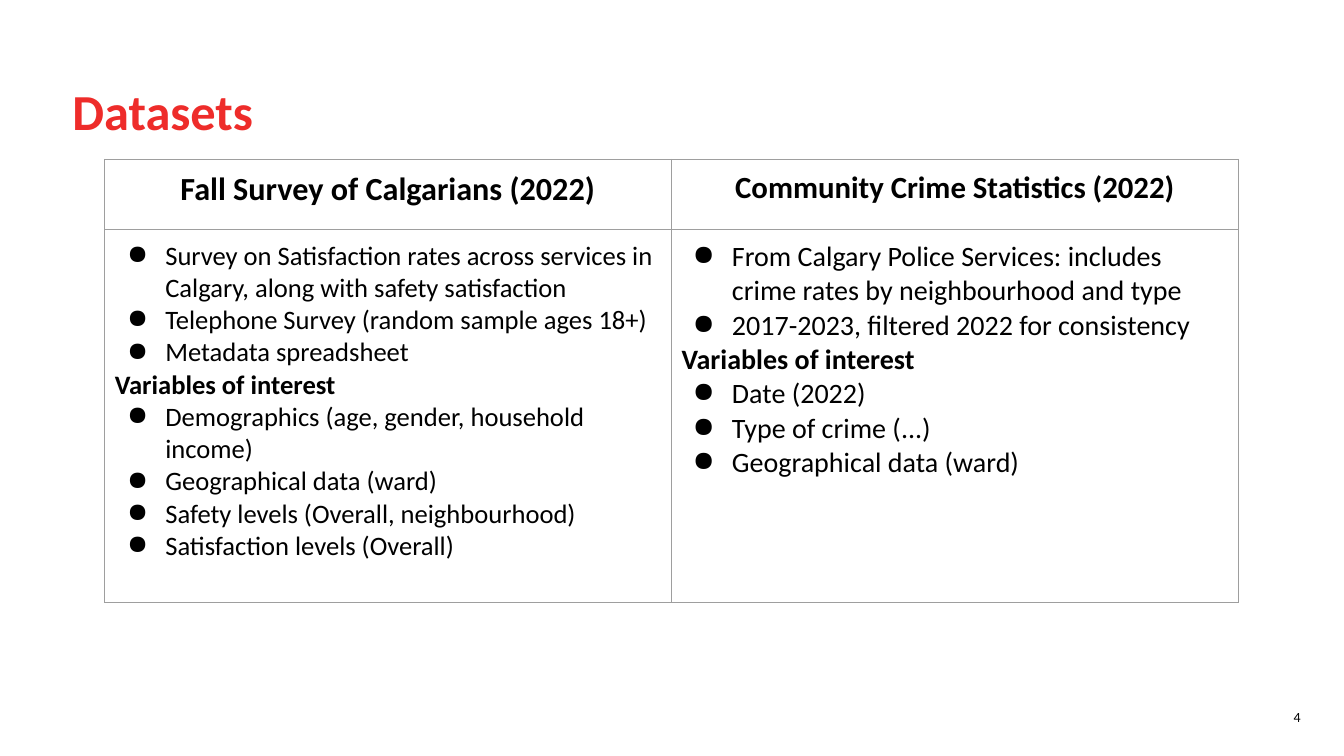
from lxml import etree
from pptx import Presentation
from pptx.dml.color import RGBColor
from pptx.enum.text import MSO_ANCHOR, PP_ALIGN
from pptx.oxml.ns import qn
from pptx.util import Inches, Pt

FONT = "Calibri"
BLACK, RED, GREY = "000000", "EE2C2A", "9E9E9E"
INTEREST = "Variables of interest"

# Each column: heading, heading size, body size, hanging indent, body lines
DATASETS = [
    ("Fall Survey of Calgarians (2022)", 23, 19, 0.38, [
        "Survey on Satisfaction rates across services in Calgary, "
        "along with safety satisfaction",
        "Telephone Survey (random sample ages 18+)",
        "Metadata spreadsheet",
        INTEREST,
        "Demographics (age, gender, household income)",
        "Geographical data (ward)",
        "Safety levels (Overall, neighbourhood)",
        "Satisfaction levels (Overall)",
    ]),
    ("Community Crime Statistics (2022)", 22, 20, 0.39, [
        "From Calgary Police Services: includes crime rates by "
        "neighbourhood and type",
        "2017-2023, filtered 2022 for consistency",
        INTEREST,
        "Date (2022)",
        "Type of crime (...)",
        "Geographical data (ward)",
    ]),
]


def rgb(color):
    return RGBColor.from_string(color)


def write(p, text, size, color=BLACK, bold=False, align=PP_ALIGN.LEFT):
    p.text = text
    p.alignment = align
    for r in p.runs:
        r.font.name = FONT
        r.font.size = Pt(size)
        r.font.bold = bold
        r.font.color.rgb = rgb(color)


def add_text(s, box, text, size, anchor=MSO_ANCHOR.TOP, spacing=None, **style):
    tf = s.shapes.add_textbox(*map(Inches, box)).text_frame
    tf.word_wrap = True
    tf.vertical_anchor = anchor
    p = tf.paragraphs[0]
    p.line_spacing = spacing
    write(p, text, size, **style)


def add_bullet(p, hang):
    pPr = p._p.get_or_add_pPr()
    pPr.set("marL", str(Inches(0.5)))
    pPr.set("indent", str(-Inches(hang)))
    clr = etree.SubElement(pPr, qn("a:buClr"))
    etree.SubElement(clr, qn("a:srgbClr"), val=BLACK)
    etree.SubElement(pPr, qn("a:buChar"), char="●")


def style_cell(cell):
    cell.fill.background()
    cell.margin_left = cell.margin_right = Inches(0.1)
    cell.margin_top = cell.margin_bottom = Inches(0.1)
    # Borders come before the fill in the cell properties
    tcPr = cell._tc.get_or_add_tcPr()
    for i, side in enumerate(("lnL", "lnR", "lnT", "lnB")):
        ln = etree.Element(qn(f"a:{side}"), w=str(Pt(0.75)))
        fill = etree.SubElement(ln, qn("a:solidFill"))
        etree.SubElement(fill, qn("a:srgbClr"), val=GREY)
        tcPr.insert(i, ln)


def fill_body(tf, lines, size, hang):
    for i, line in enumerate(lines):
        p = tf.add_paragraph() if i else tf.paragraphs[0]
        is_heading = line == INTEREST
        if not is_heading:
            add_bullet(p, hang)
        write(p, line, size, bold=is_heading)


def add_dataset_table(s):
    table = s.shapes.add_table(2, len(DATASETS), Inches(1.04), Inches(1.58),
                               Inches(11.24), Inches(4.4)).table
    table.first_row = table.horz_banding = False
    table.rows[0].height = Inches(0.7)
    table.rows[1].height = Inches(3.7)
    for col, (heading, head_size, size, hang, lines) in enumerate(DATASETS):
        table.columns[col].width = Inches(5.62)
        head, body = table.cell(0, col), table.cell(1, col)
        style_cell(head)
        style_cell(body)
        write(head.text_frame.paragraphs[0], heading, head_size,
              bold=True, align=PP_ALIGN.CENTER)
        fill_body(body.text_frame, lines, size, hang)


def main():
    prs = Presentation()
    prs.slide_width, prs.slide_height = Inches(13.33), Inches(7.5)
    s = prs.slides.add_slide(prs.slide_layouts[6])

    # Title
    add_text(s, (0.62, 0.51, 10.63, 1.13), "Datasets", 36,
             anchor=MSO_ANCHOR.MIDDLE, spacing=1.06, color=RED, bold=True)
    # Slide number
    add_text(s, (10, 6.98, 3, 0.4), "4", 10, align=PP_ALIGN.RIGHT)
    # Dataset comparison
    add_dataset_table(s)

    prs.save("out.pptx")


if __name__ == "__main__":
    main()
